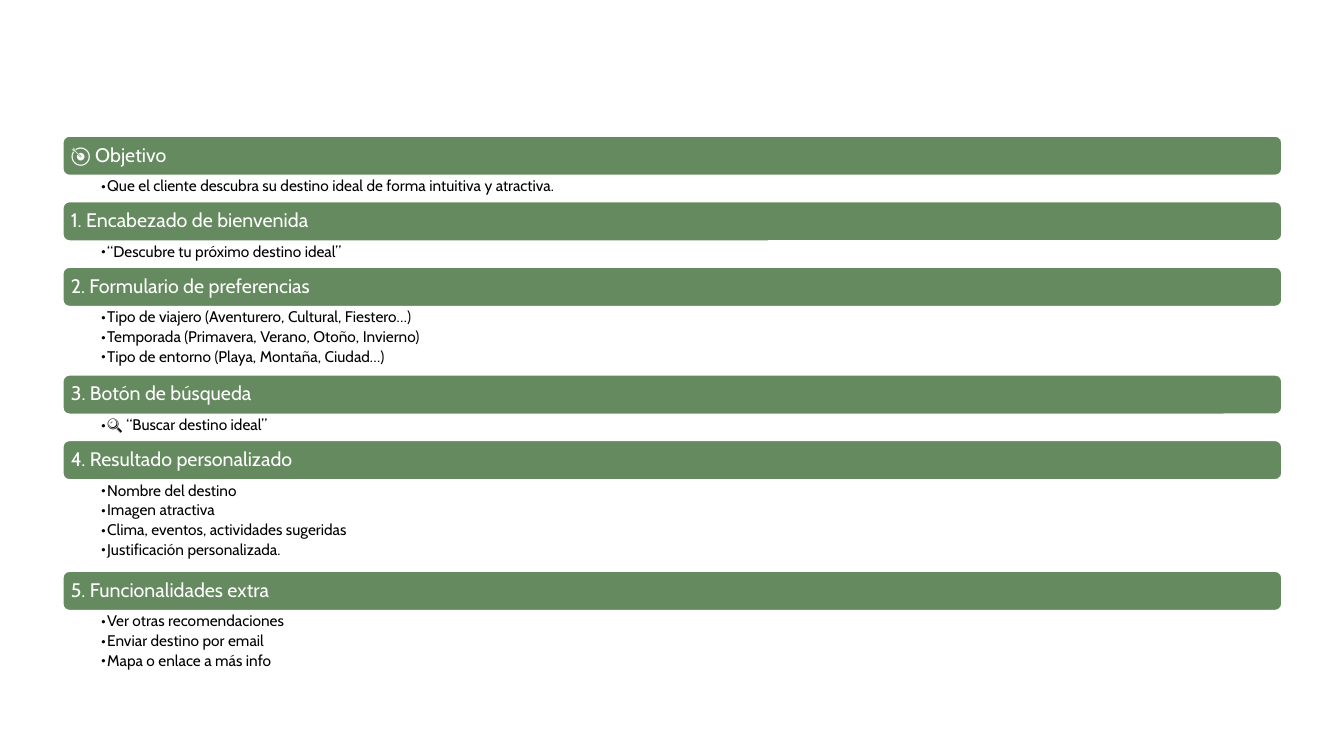
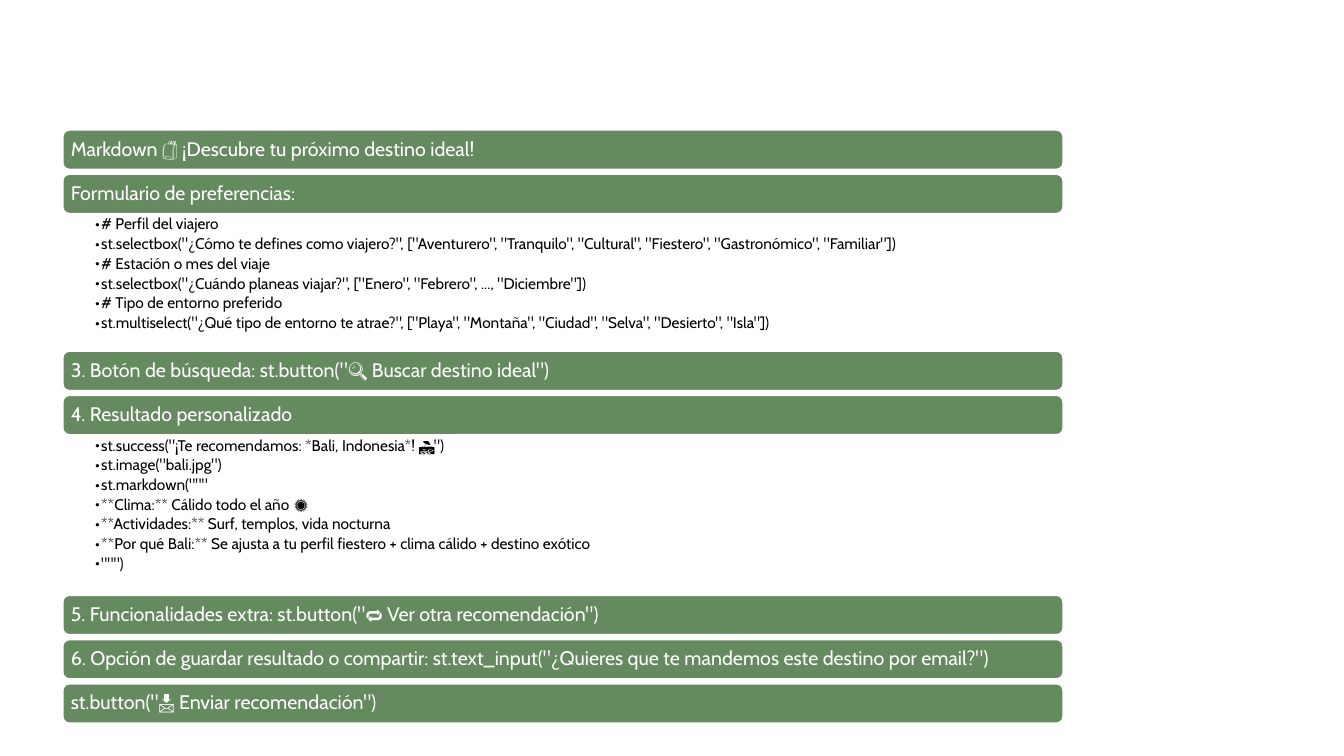
import pptx
import pptx.util
import pptx.dml.color
import pptx.enum.shapes
import pptx.enum.text
import lxml.etree
from pptx.oxml.ns import qn

# Shared look
GREEN = pptx.dml.color.RGBColor(0x66, 0x8A, 0x60)
WHITE = pptx.dml.color.RGBColor(0xFF, 0xFF, 0xFF)
BLACK = pptx.dml.color.RGBColor(0x00, 0x00, 0x00)
FONT = "Cabin"
Inches = pptx.util.Inches
Pt = pptx.util.Pt

deck = pptx.Presentation()
deck.slide_width = Inches(13.33)
deck.slide_height = Inches(7.5)

# Grid: 43 columns by 100 rows
COLUMN = deck.slide_width / 43
ROW = deck.slide_height / 100
LEFT = 2.01
BAND_ROWS = 5.2
GAP_ROWS = 0.65
ITEM_ROWS = 3.05
LIST_TRIM = 0.1
LIST_MIN_ROWS = 3.47


def write(shape, lines, size, color, after, insets, anchor, bullet=False):
    """Fill a shape with one paragraph per line."""
    frame = shape.text_frame
    frame.word_wrap = True
    frame.vertical_anchor = anchor
    (frame.margin_left, frame.margin_top,
     frame.margin_right, frame.margin_bottom) = map(Inches, insets)
    for number, line in enumerate(lines):
        para = frame.paragraphs[0] if number == 0 else frame.add_paragraph()
        if bullet:
            para.level = 1
            properties = para._p.get_or_add_pPr()
            properties.set("marL", str(Inches(0.06)))
            properties.set("indent", str(-Inches(0.06)))
            lxml.etree.SubElement(properties, qn("a:buFont")).set("typeface", FONT)
            lxml.etree.SubElement(properties, qn("a:buChar")).set("char", "•")
        para.alignment = pptx.enum.text.PP_ALIGN.LEFT
        para.line_spacing = 0.9
        para.space_after = Pt(after)
        span = para.add_run()
        span.text = line
        for font in (para.font, span.font):
            font.name = FONT
            font.size = Pt(size)
            font.color.rgb = color


# Content: each section is a heading and its list
goals = [
    ("🎯 Objetivo",
     ["Que el cliente descubra su destino ideal de forma intuitiva y atractiva."]),
    ("1. Encabezado de bienvenida", ["“Descubre tu próximo destino ideal”"]),
    ("2. Formulario de preferencias",
     ["Tipo de viajero (Aventurero, Cultural, Fiestero…)",
      "Temporada (Primavera, Verano, Otoño, Invierno)",
      "Tipo de entorno (Playa, Montaña, Ciudad…)"]),
    ("3. Botón de búsqueda", ["🔍 “Buscar destino ideal”"]),
    ("4. Resultado personalizado",
     ["Nombre del destino",
      "Imagen atractiva",
      "Clima, eventos, actividades sugeridas",
      "Justificación personalizada."]),
    ("5. Funcionalidades extra",
     ["Ver otras recomendaciones",
      "Enviar destino por email",
      "Mapa o enlace a más info"]),
]
code = [
    ("Markdown 🎒 ¡Descubre tu próximo destino ideal!", []),
    ("Formulario de preferencias:",
     ["# Perfil del viajero",
      'st.selectbox("¿Cómo te defines como viajero?", ["Aventurero", "Tranquilo", '
      '"Cultural", "Fiestero", "Gastronómico", "Familiar"])',
      "# Estación o mes del viaje",
      'st.selectbox("¿Cuándo planeas viajar?", ["Enero", "Febrero", ..., "Diciembre"])',
      "# Tipo de entorno preferido",
      'st.multiselect("¿Qué tipo de entorno te atrae?", ["Playa", "Montaña", '
      '"Ciudad", "Selva", "Desierto", "Isla"])']),
    ('3. Botón de búsqueda: st.button("🔍 Buscar destino ideal")', []),
    ("4. Resultado personalizado",
     ['st.success("¡Te recomendamos: *Bali, Indonesia*! 🏖️")',
      'st.image("bali.jpg")',
      'st.markdown("""',
      "**Clima:** Cálido todo el año ☀️",
      "**Actividades:** Surf, templos, vida nocturna",
      "**Por qué Bali:** Se ajusta a tu perfil fiestero + clima cálido + destino exótico",
      '""")']),
    ('5. Funcionalidades extra: st.button("🔁 Ver otra recomendación")', []),
    ('6. Opción de guardar resultado o compartir: '
     'st.text_input("¿Quieres que te mandemos este destino por email?")', []),
    ('st.button("📩 Enviar recomendación")', []),
]

# Pages: sections, first row, width in columns, list inset in inches
for sections, top, columns, list_inset in [(goals, 18, 39, 0.38),
                                           (code, 17.2, 32, 0.32)]:
    page = deck.slides.add_slide(deck.slide_layouts[6])
    left, width = int(LEFT * COLUMN), int(columns * COLUMN)
    for heading, items in sections:
        # Heading band
        band = page.shapes.add_shape(
            pptx.enum.shapes.MSO_SHAPE.ROUNDED_RECTANGLE,
            left, int(top * ROW), width, int(BAND_ROWS * ROW))
        band.shadow.inherit = False
        band.fill.solid()
        band.fill.fore_color.rgb = GREEN
        band.line.color.rgb = WHITE
        band.line.width = Pt(1)
        write(band, [heading], size=14, color=WHITE, after=4.9,
              insets=[0.06] * 4, anchor=pptx.enum.text.MSO_ANCHOR.MIDDLE)
        top += BAND_ROWS
        if not items:
            top += GAP_ROWS
            continue

        # List below the band
        rows = max(LIST_MIN_ROWS, ITEM_ROWS * len(items) - LIST_TRIM)
        box = page.shapes.add_textbox(left, int(top * ROW), width, int(rows * ROW))
        write(box, items, size=11, color=BLACK, after=2.2,
              insets=[list_inset, 0.03, 0.11, 0.02],
              anchor=pptx.enum.text.MSO_ANCHOR.TOP, bullet=True)
        top += rows

deck.save("out.pptx")
